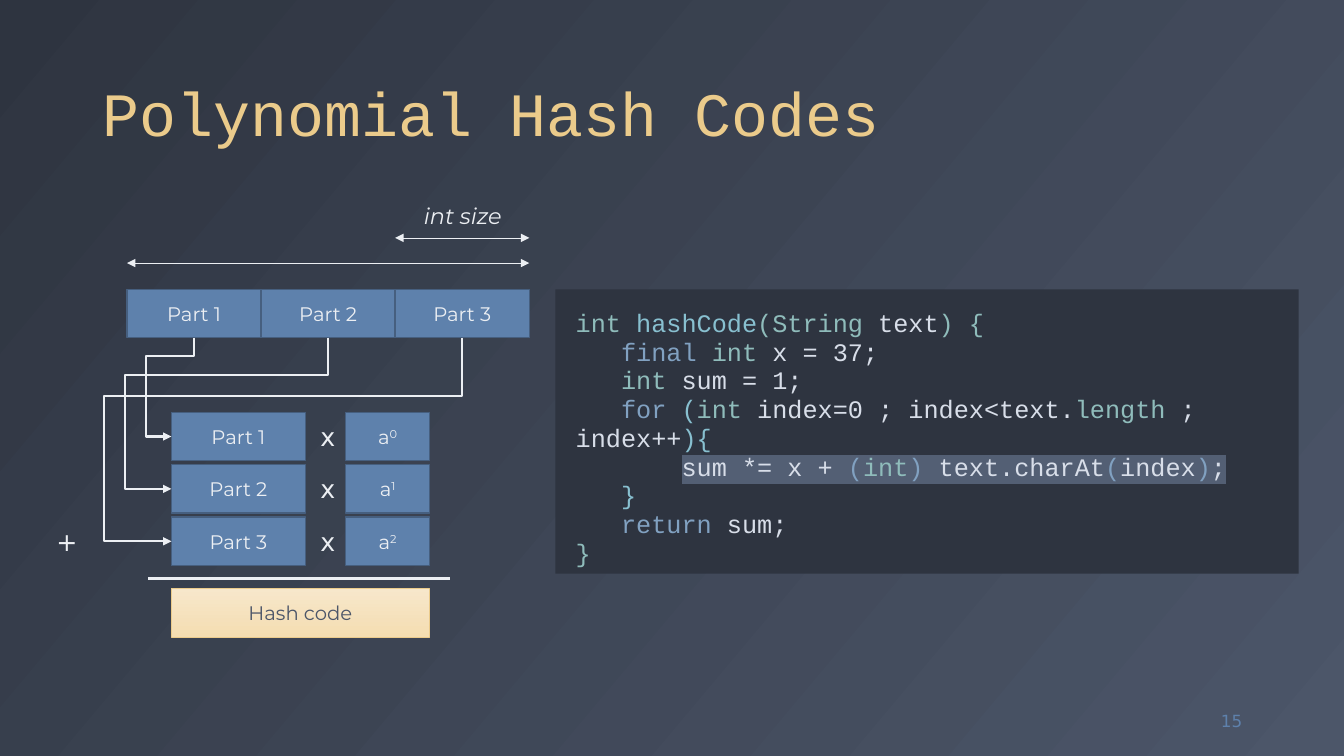
from lxml.etree import SubElement
from pptx import Presentation
from pptx.dml.color import RGBColor
from pptx.enum.shapes import MSO_CONNECTOR, MSO_SHAPE
from pptx.enum.text import MSO_ANCHOR, MSO_AUTO_SIZE, PP_ALIGN
from pptx.oxml.ns import qn
from pptx.util import Inches, Pt

# Colours
NIGHT = RGBColor(0x2E, 0x34, 0x40)
SLATE = RGBColor(0x4C, 0x56, 0x69)
SNOW = RGBColor(0xEC, 0xEF, 0xF3)
BLUE = RGBColor(0x5E, 0x81, 0xAC)
BLUE_EDGE = RGBColor(0x46, 0x5F, 0x7F)
YELLOW = RGBColor(0xEB, 0xCB, 0x8B)
CREAM_TOP = RGBColor(0xF7, 0xE7, 0xCB)
CREAM_BOTTOM = RGBColor(0xF4, 0xDD, 0xB1)
PLAIN = RGBColor(0xD8, 0xDE, 0xE9)
TYPE = RGBColor(0x8F, 0xBC, 0xBB)
NAME = RGBColor(0x88, 0xC0, 0xD0)
KEYWORD = RGBColor(0x81, 0xA1, 0xC1)
MARK = RGBColor(0x53, 0x5F, 0x74)

# Fonts
MONO, SANS, BODY = "Courier New", "DejaVu Sans", "Montserrat"

# Diagram grid, in inches
BOX_WIDTH, BOX_HEIGHT = 1.33, 0.48
ROW_LEFT, ROW_TOP = 1.26, 2.87
ROW_RIGHT = ROW_LEFT + 3 * BOX_WIDTH
STACK_LEFT, STACK_TOP, STACK_STEP = 1.7, 4.09, 0.52
POWER_LEFT, POWER_WIDTH = 3.43, 0.83
LANES = [(3.53, 1.45), (3.72, 1.24), (3.93, 1.03)]  # turning height, lane position

# Code tokens by line; the marked line is listed separately
CODE = [
    [("int ", TYPE), ("hashCode", NAME), ("(String ", TYPE), ("text", PLAIN), (") {", TYPE)],
    [("   ", PLAIN), ("final ", KEYWORD), ("int ", TYPE), ("x = 37;", PLAIN)],
    [("   ", PLAIN), ("int ", TYPE), ("sum = 1;", PLAIN)],
    [("   ", PLAIN), ("for ", KEYWORD), ("(", NAME), ("int ", TYPE),
     ("index=0 ; index<text.", PLAIN), ("length ", TYPE), ("; index++", PLAIN), ("){", NAME)],
    [("       ", PLAIN), ("sum *= x + ", PLAIN), ("(", KEYWORD), ("int", TYPE), (")", KEYWORD),
     (" text.charAt", PLAIN), ("(", KEYWORD), ("index", PLAIN), (")", KEYWORD), (";", PLAIN)],
    [("   ", PLAIN), ("}", NAME)],
    [("   ", PLAIN), ("return ", KEYWORD), ("sum;", PLAIN)],
    [("}", TYPE)],
]
MARKED_LINE = 4


def add_run(paragraph, text, *, size=14, font=BODY, color=SNOW, italic=None,
            raised=False, highlight=None):
    run = paragraph.add_run()
    run.text = text
    run.font.size = Pt(size)
    run.font.italic = italic
    run.font.color.rgb = color
    properties = run.font._element
    if highlight is not None:
        mark = SubElement(properties, qn("a:highlight"))
        SubElement(mark, qn("a:srgbClr"), val=str(highlight))
    if raised:
        properties.set("baseline", "30000")
    run.font.name = font


def fill_gradient(fill, first, last, angle):
    fill.gradient()
    fill.gradient_angle = angle
    for stop, color in zip(fill.gradient_stops, (first, last)):
        stop.color.rgb = color


def add_box(slide, left, top, width, height, text="", *, fill=BLUE, edge=BLUE_EDGE,
            edge_width=1, color=SNOW, power=None):
    shape = slide.shapes.add_shape(MSO_SHAPE.RECTANGLE, Inches(left), Inches(top),
                                   Inches(width), Inches(height))
    shape.shadow.inherit = False
    shape.fill.solid()
    shape.fill.fore_color.rgb = fill
    if edge is None:
        shape.line.fill.background()
    else:
        shape.line.color.rgb = edge
        shape.line.width = Pt(edge_width)
    if text:
        paragraph = shape.text_frame.paragraphs[0]
        paragraph.alignment = PP_ALIGN.CENTER
        add_run(paragraph, text, color=color)
        if power is not None:
            add_run(paragraph, power, color=color, raised=True)
    return shape


def add_label(slide, left, top, width, height, text, *, align=PP_ALIGN.LEFT,
              anchor=MSO_ANCHOR.TOP, **text_format):
    label = slide.shapes.add_textbox(Inches(left), Inches(top), Inches(width), Inches(height))
    label.text_frame.word_wrap = True
    label.text_frame.vertical_anchor = anchor
    paragraph = label.text_frame.paragraphs[0]
    paragraph.alignment = align
    add_run(paragraph, text, **text_format)


def add_line(slide, start, end, *, width, ends=(), kind=MSO_CONNECTOR.STRAIGHT):
    points = [Inches(value) for value in (*start, *end)]
    connector = slide.shapes.add_connector(kind, *points)
    connector.line.color.rgb = SNOW
    connector.line.width = Pt(width)
    for end_name in ends:
        SubElement(connector.get_or_add_ln(), qn(f"a:{end_name}"), type="triangle")
    SubElement(connector._element.spPr, qn("a:effectLst"))
    return connector


def add_part_link(slide, source, target, turn, lane):
    """Lead from the bottom of source down, left to the lane, down and into target."""
    start_x = source.left + source.width // 2
    start_y = source.top + source.height
    end_x, end_y = target.left, target.top + target.height // 2
    connector = add_line(slide, (0, 0), (1, 1), width=1.5, ends=("tailEnd",),
                         kind=MSO_CONNECTOR.ELBOW)
    connector.begin_connect(source, 2)
    connector.end_connect(target, 1)

    # A quarter turn swaps width and height around the same centre
    drop, reach = end_y - start_y, start_x - end_x
    frame = connector._element.spPr.find(qn("a:xfrm"))
    for flip in ("flipH", "flipV"):
        frame.attrib.pop(flip, None)
    frame.set("rot", "5400000")
    connector.left = (start_x + end_x - drop) // 2
    connector.top = (start_y + end_y - reach) // 2
    connector.width, connector.height = drop, reach

    geometry = connector._element.spPr.find(qn("a:prstGeom"))
    geometry.set("prst", "bentConnector4")
    guides = geometry.find(qn("a:avLst"))
    shares = ((Inches(turn) - start_y) / drop, (start_x - Inches(lane)) / reach)
    for number, share in enumerate(shares, 1):
        SubElement(guides, qn("a:gd"), name=f"adj{number}", fmla=f"val {round(share * 100000)}")


def add_title(slide, text):
    title = slide.shapes.title
    title.left, title.top, title.width, title.height = map(Inches, (0.92, 0.18, 11.5, 1.36))
    title.text_frame.vertical_anchor = MSO_ANCHOR.BOTTOM
    paragraph = title.text_frame.paragraphs[0]
    paragraph.alignment = PP_ALIGN.LEFT
    paragraph.line_spacing = 0.9
    add_run(paragraph, text, size=44, font=MONO, color=YELLOW)


def add_diagram(slide):
    # Sizes above the row of parts
    add_label(slide, 4.04, 1.96, 1.1, 0.37, "int size", align=PP_ALIGN.CENTER, size=16, italic=True)
    for left, top in ((ROW_LEFT, 2.61), (ROW_RIGHT - BOX_WIDTH, 2.36)):
        add_line(slide, (left, top), (ROW_RIGHT, top), width=0.5, ends=("headEnd", "tailEnd"))

    # Parts, their powers and the links between them
    for index, (turn, lane) in enumerate(LANES):
        name = f"Part {index + 1}"
        top = STACK_TOP + index * STACK_STEP
        source = add_box(slide, ROW_LEFT + index * BOX_WIDTH, ROW_TOP, BOX_WIDTH, BOX_HEIGHT, name)
        target = add_box(slide, STACK_LEFT, top, BOX_WIDTH, BOX_HEIGHT, name)
        add_label(slide, 3.08, top + 0.04, 0.35, 0.4, "x", size=18, font=SANS)
        add_box(slide, POWER_LEFT, top, POWER_WIDTH, BOX_HEIGHT, "a", power=str(index))
        add_part_link(slide, source, target, turn, lane)

    # Sum
    add_label(slide, 0.46, 5.17, 0.41, 0.4, "+", size=18, font=SANS)
    add_line(slide, (1.47, 5.74), (4.46, 5.74), width=2)
    total = add_box(slide, STACK_LEFT, 5.84, POWER_LEFT + POWER_WIDTH - STACK_LEFT, BOX_HEIGHT,
                    "Hash code", edge=YELLOW, edge_width=0.5, color=SLATE)
    fill_gradient(total.fill, CREAM_TOP, CREAM_BOTTOM, 270)


def add_code(slide):
    panel = add_box(slide, 5.51, ROW_TOP, 7.37, 2.82, fill=NIGHT, edge=None)
    frame = panel.text_frame
    frame.word_wrap = True
    frame.auto_size = MSO_AUTO_SIZE.NONE
    frame.vertical_anchor = MSO_ANCHOR.TOP
    frame.margin_left = frame.margin_right = frame.margin_top = Inches(0.2)
    frame.margin_bottom = Inches(0.05)
    for number, tokens in enumerate(CODE):
        paragraph = frame.add_paragraph() if number else frame.paragraphs[0]
        paragraph.alignment = PP_ALIGN.LEFT
        paragraph.line_spacing = 0.95
        for position, (text, color) in enumerate(tokens):
            marked = number == MARKED_LINE and position > 0
            add_run(paragraph, text, size=18, font=MONO, color=color,
                    highlight=MARK if marked else None)


def main():
    presentation = Presentation()
    presentation.slide_width, presentation.slide_height = Inches(13.33), Inches(7.5)
    slide = presentation.slides.add_slide(presentation.slide_layouts[5])
    fill_gradient(slide.background.fill, NIGHT, SLATE, 320)
    add_title(slide, "Polynomial Hash Codes")
    add_diagram(slide)
    add_code(slide)
    add_label(slide, 11.59, 6.95, 0.83, 0.4, "15", align=PP_ALIGN.RIGHT,
              anchor=MSO_ANCHOR.MIDDLE, size=12, font=SANS, color=BLUE)
    presentation.save("out.pptx")


if __name__ == "__main__":
    main()
